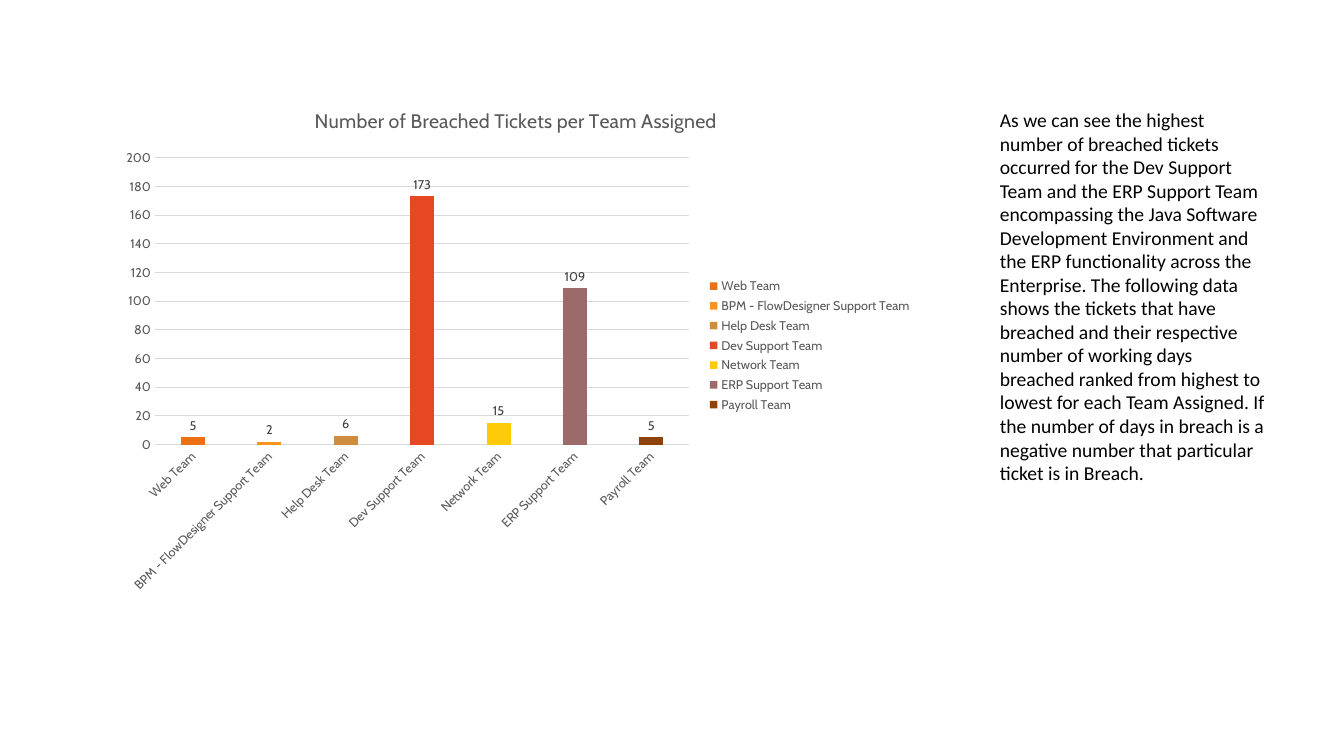
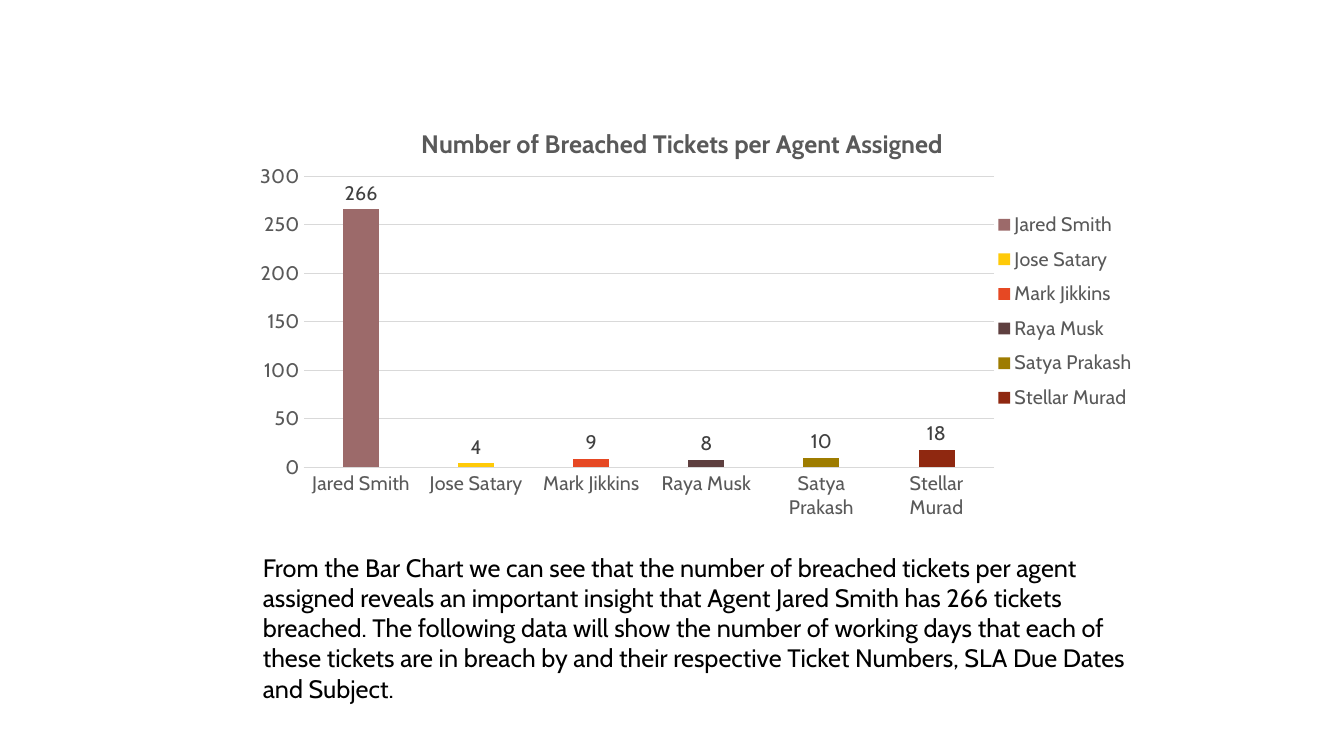
from lxml import etree
from pptx import Presentation
from pptx.chart.data import CategoryChartData
from pptx.dml.color import RGBColor
from pptx.enum.chart import XL_CHART_TYPE, XL_LABEL_POSITION, XL_LEGEND_POSITION, XL_TICK_MARK
from pptx.enum.text import MSO_AUTO_SIZE
from pptx.oxml.ns import qn
from pptx.util import Pt

COLUMN = XL_CHART_TYPE.COLUMN_CLUSTERED
OUTSIDE_END = XL_LABEL_POSITION.OUTSIDE_END
LEGEND_RIGHT = XL_LEGEND_POSITION.RIGHT
NO_TICK = XL_TICK_MARK.NONE
GROW = MSO_AUTO_SIZE.SHAPE_TO_FIT_TEXT

SLIDE_WIDTH, SLIDE_HEIGHT = 1344, 756
EMU_PER_PX = 12192000 / SLIDE_WIDTH
CHART_FONT = "Cabin"
COLORS = {
    "text": "000000", "label": "404040", "axis": "595959", "grid": "D9D9D9",
    "orange": "EC7016", "amber": "F8931D", "tan": "CE8D3E", "red": "E64823",
    "yellow": "FFCA08", "mauve": "9C6A6A", "brown": "8F430C",
    "plum": "5E3F3F", "olive": "9E7C00", "rust": "8F2810",
}

# Category, value, colour
TEAMS = [
    ("Web Team", 5, "orange"),
    ("BPM - FlowDesigner Support Team", 2, "amber"),
    ("Help Desk Team", 6, "tan"),
    ("Dev Support Team", 173, "red"),
    ("Network Team", 15, "yellow"),
    ("ERP Support Team", 109, "mauve"),
    ("Payroll Team", 5, "brown"),
]
AGENTS = [
    ("Jared Smith", 266, "mauve"),
    ("Jose Satary", 4, "yellow"),
    ("Mark Jikkins", 9, "red"),
    ("Raya Musk", 8, "plum"),
    ("Satya Prakash", 10, "olive"),
    ("Stellar Murad", 18, "rust"),
]
TEAM_TEXT = (
    "As we can see the highest number of breached tickets occurred for the Dev Support Team "
    "and the ERP Support Team encompassing the Java Software Development Environment and the "
    "ERP functionality across the Enterprise. The following data shows the tickets that have "
    "breached and their respective number of working days breached ranked from highest to "
    "lowest for each Team Assigned. If the number of days in breach is a negative number that "
    "particular ticket is in Breach."
)
AGENT_TEXT = (
    "From the Bar Chart we can see that the number of breached tickets per agent assigned "
    "reveals an important insight that Agent Jared Smith has 266 tickets breached. The "
    "following data will show the number of working days that each of these tickets are in "
    "breach by and their respective Ticket Numbers, SLA Due Dates and Subject."
)


def px(*lengths):
    return [round(length * EMU_PER_PX) for length in lengths]


def rgb(name):
    return RGBColor.from_string(COLORS[name])


def style_font(font, size, color, name=CHART_FONT, bold=False):
    font.name, font.size, font.bold = name, Pt(size), bold
    font.color.rgb = rgb(color)


def style_line(line, color):
    line.width = Pt(0.75)
    line.color.rgb = rgb(color)


def set_layout(parent, index, box, inner=False):
    """Fix the place of a chart part, in fractions of the chart."""
    for old in parent.findall(qn("c:layout")):
        parent.remove(old)
    layout = etree.Element(qn("c:layout"))
    manual = etree.SubElement(layout, qn("c:manualLayout"))
    settings = [("layoutTarget", "inner")] if inner else []
    settings += [("xMode", "edge"), ("yMode", "edge")]
    settings += zip("xywh", box)
    for tag, value in settings:
        etree.SubElement(manual, qn(f"c:{tag}")).set("val", str(value))
    parent.insert(index, layout)


def style_axes(chart, size, maximum, step, rotation):
    category_axis, value_axis = chart.category_axis, chart.value_axis
    for axis in (category_axis, value_axis):
        axis.major_tick_mark = axis.minor_tick_mark = NO_TICK
        style_font(axis.tick_labels.font, size, "axis")
    style_line(category_axis.format.line, "grid")
    category_axis.has_major_gridlines = False
    body = category_axis.tick_labels.font._element.getroottree().find(
        f".//{qn('c:catAx')}/{qn('c:txPr')}/{qn('a:bodyPr')}")
    body.set("rot", str(rotation * 60000))
    value_axis.format.line.fill.background()
    value_axis.minimum_scale, value_axis.maximum_scale = 0, maximum
    value_axis.major_unit = step
    value_axis.has_major_gridlines = True
    style_line(value_axis.major_gridlines.format.line, "grid")


def add_column_chart(slide, box, title, rows, size, title_size, maximum, step,
                     rotation=0, bold_title=False):
    data = CategoryChartData()
    data.categories = [row[0] for row in rows]
    data.add_series("Series 1", [row[1] for row in rows])
    chart = slide.shapes.add_chart(COLUMN, *px(*box), data).chart
    style_font(chart.font, 10, "text")

    # Title and legend
    chart.has_title = True
    title_frame = chart.chart_title.text_frame
    title_frame.text = title
    style_font(title_frame.paragraphs[0].runs[0].font, title_size, "axis", bold=bold_title)
    chart.chart_title.include_in_layout = False
    chart.has_legend = True
    chart.legend.position = LEGEND_RIGHT
    chart.legend.include_in_layout = False
    style_font(chart.legend.font, size, "axis")

    style_axes(chart, size, maximum, step, rotation)

    # Columns and their values
    plot = chart.plots[0]
    plot.gap_width, plot.overlap = 219, -27
    plot.vary_by_categories = True
    plot.has_data_labels = True
    labels = plot.data_labels
    labels.show_value, labels.position = True, OUTSIDE_END
    style_font(labels.font, size, "label")
    for index, (_, _, color) in enumerate(rows):
        fill = plot.series[0].points[index].format.fill
        fill.solid()
        fill.fore_color.rgb = rgb(color)
    return chart


def add_text(slide, box, text, size, font_name):
    frame = slide.shapes.add_textbox(*px(*box)).text_frame
    frame.word_wrap, frame.auto_size = True, GROW
    frame.text = text
    style_font(frame.paragraphs[0].runs[0].font, size, "text", font_name)


def add_team_slide(presentation):
    slide = presentation.slides.add_slide(presentation.slide_layouts[6])
    add_column_chart(slide, (110, 88, 812, 515), "Number of Breached Tickets per Team Assigned",
                     TEAMS, 9, 14, 200, 20, rotation=-45)
    add_text(slide, (990, 103, 285, 390), TEAM_TEXT, 14, "Calibri")


def add_agent_slide(presentation):
    slide = presentation.slides.add_slide(presentation.slide_layouts[6])
    chart = add_column_chart(slide, (209, 108, 946, 428),
                             "Number of Breached Tickets per Agent Assigned",
                             AGENTS, 14, 18, 300, 50, bold_title=True)
    plot_area = chart.plots[0]._element.getparent()
    set_layout(plot_area, 0, (0.1, 0.16, 0.73, 0.68), inner=True)
    set_layout(chart.legend._element, 1, (0.83, 0.22, 0.15, 0.51))
    add_text(slide, (253, 547, 901, 194), AGENT_TEXT, 18, CHART_FONT)


def main():
    presentation = Presentation()
    presentation.slide_width, presentation.slide_height = px(SLIDE_WIDTH, SLIDE_HEIGHT)
    add_team_slide(presentation)
    add_agent_slide(presentation)
    presentation.save("out.pptx")


if __name__ == "__main__":
    main()
